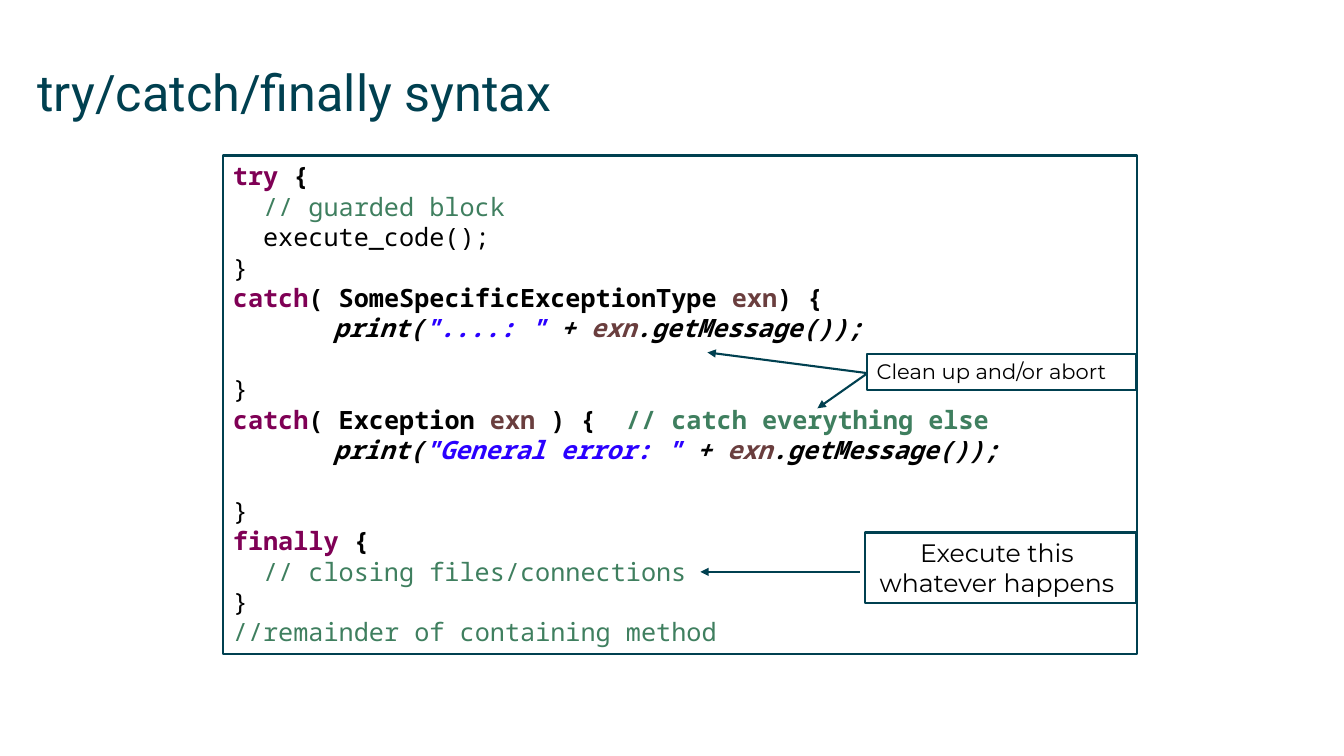
"""Build the try/catch/finally syntax slide."""
from dataclasses import dataclass

import lxml.etree
import pptx
import pptx.dml.color
import pptx.enum.shapes
import pptx.enum.text
import pptx.oxml.ns
import pptx.util
from pptx.util import Cm, Pt


@dataclass(frozen=True)
class Theme:
    ink: str = "004050"
    paper: str = "FFFFFF"
    plain: str = "000000"
    keyword: str = "7F0055"
    comment: str = "3F7F5F"
    variable: str = "6A3E3E"
    string: str = "2A00FF"
    title_font: str = "Roboto"
    code_font: str = "Noto Sans Mono"
    note_font: str = "Montserrat"
    title_size: float = 36
    code_size: float = 18
    code_leading: float = 21.7
    small_note: float = 15
    large_note: float = 18
    line_width: float = 1.5


@dataclass(frozen=True)
class Line:
    tokens: tuple
    indent: float = 0
    bold: bool = False
    italic: bool = False
    gap: bool = False


def rgb(value):
    return pptx.dml.color.RGBColor.from_string(value)


def set_font(font, name, size, color):
    font.name, font.size = name, Pt(size)
    font.color.rgb = rgb(color)


class Deck:
    def __init__(self, theme):
        self.theme = theme
        self.prs = pptx.Presentation()
        self.prs.slide_width, self.prs.slide_height = Cm(33.87), Cm(19.05)
        self.s = self.prs.slides.add_slide(self.prs.slide_layouts[5])

    def title(self, text, x, y, w, h):
        sp = self.s.shapes.title
        sp.left, sp.top, sp.width, sp.height = Cm(x), Cm(y), Cm(w), Cm(h)
        tf = sp.text_frame
        tf.margin_left = tf.margin_right = tf.margin_top = tf.margin_bottom = 0
        tf.vertical_anchor = pptx.enum.text.MSO_ANCHOR.TOP
        tf.text = text
        p = tf.paragraphs[0]
        p.alignment = pptx.enum.text.PP_ALIGN.LEFT
        set_font(p.font, self.theme.title_font, self.theme.title_size, self.theme.ink)

    def box(self, x, y, w, h):
        sp = self.s.shapes.add_shape(
            pptx.enum.shapes.MSO_SHAPE.RECTANGLE, Cm(x), Cm(y), Cm(w), Cm(h))
        sp.shadow.inherit = False
        sp.fill.solid()
        sp.fill.fore_color.rgb = rgb(self.theme.paper)
        sp.line.color.rgb = rgb(self.theme.ink)
        sp.line.width = Pt(self.theme.line_width)
        tf = sp.text_frame
        tf.word_wrap = True
        tf.vertical_anchor = pptx.enum.text.MSO_ANCHOR.TOP
        return tf

    def code(self, lines, x, y, w, h):
        t = self.theme
        tf = self.box(x, y, w, h)
        for i, line in enumerate(lines):
            p = tf.add_paragraph() if i else tf.paragraphs[0]
            p.alignment = pptx.enum.text.PP_ALIGN.LEFT
            p.line_spacing = Pt(t.code_leading)
            p.space_before = Pt(t.code_leading if line.gap else 0)
            p._p.get_or_add_pPr().set("marL", str(Cm(line.indent)))
            set_font(p.font, t.code_font, t.code_size, t.plain)
            p.font.bold, p.font.italic = line.bold, line.italic
            for text, role in line.tokens:
                r = p.add_run()
                r.text = text
                r.font.color.rgb = rgb(getattr(t, role))

    def note(self, text, size, align, x, y, w, h):
        tf = self.box(x, y, w, h)
        tf.text = text
        p = tf.paragraphs[0]
        p.alignment = align
        set_font(p.font, self.theme.note_font, size, self.theme.plain)

    def arrow(self, x1, y1, x2, y2):
        c = self.s.shapes.add_connector(
            pptx.enum.shapes.MSO_CONNECTOR.STRAIGHT, Cm(x1), Cm(y1), Cm(x2), Cm(y2))
        c.line.color.rgb = rgb(self.theme.ink)
        c.line.width = Pt(self.theme.line_width)
        qn = pptx.oxml.ns.qn
        lxml.etree.SubElement(c.line._get_or_add_ln(), qn("a:tailEnd"), type="triangle")
        lxml.etree.SubElement(c._element.spPr, qn("a:effectLst"))


def print_line(message):
    return Line((("print(", "plain"), (message, "string"), (" + ", "plain"),
                 ("exn", "variable"), (".getMessage());", "plain")),
                indent=2.54, bold=True, italic=True)


def block_start(keyword, *rest):
    return Line(((keyword, "keyword"), *rest), bold=True)


def body(text, role):
    return Line(((text, role),), indent=0.76)


def main():
    theme = Theme()
    deck = Deck(theme)
    align = pptx.enum.text.PP_ALIGN
    close = Line((("}", "plain"),))
    close_after_gap = Line(close.tokens, gap=True)
    lines = [
        block_start("try", (" {", "plain")),
        body("// guarded block", "comment"),
        body("execute_code();", "plain"),
        close,
        block_start("catch", ("( SomeSpecificExceptionType ", "plain"),
                    ("exn", "variable"), (") {", "plain")),
        print_line('"....: "'),
        close_after_gap,
        block_start("catch", ("( Exception ", "plain"), ("exn", "variable"),
                    (" ) {  ", "plain"), ("// catch everything else", "comment")),
        print_line('"General error: "'),
        close_after_gap,
        block_start("finally", (" {", "plain")),
        body("// closing files/connections", "comment"),
        close,
        Line((("//remainder of containing method", "comment"),)),
    ]
    deck.code(lines, 5.62, 3.92, 23.03, 12.57)
    deck.title("try/catch/finally syntax", 0.94, 1.55, 32, 2.24)
    deck.note("Clean up and/or abort", theme.small_note, align.LEFT,
              21.84, 8.92, 6.79, 0.9)
    deck.arrow(21.84, 9.4, 17.83, 8.88)
    deck.arrow(21.84, 9.42, 20.6, 10.29)
    deck.note("Execute this \vwhatever happens ", theme.large_note, align.CENTER,
              21.79, 13.42, 6.84, 1.78)
    deck.arrow(21.67, 14.41, 17.65, 14.41)
    deck.prs.save("out.pptx")


if __name__ == "__main__":
    main()
